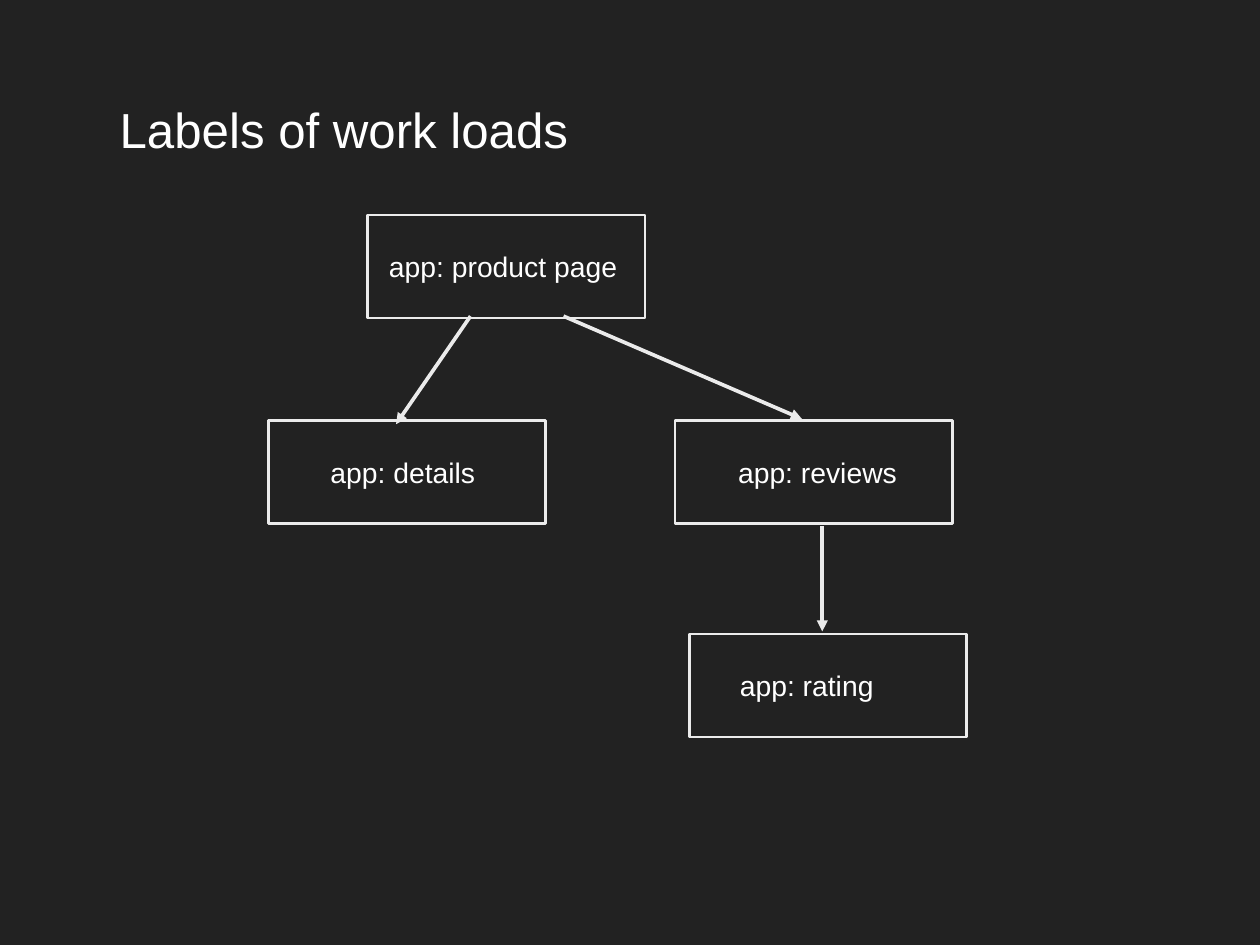
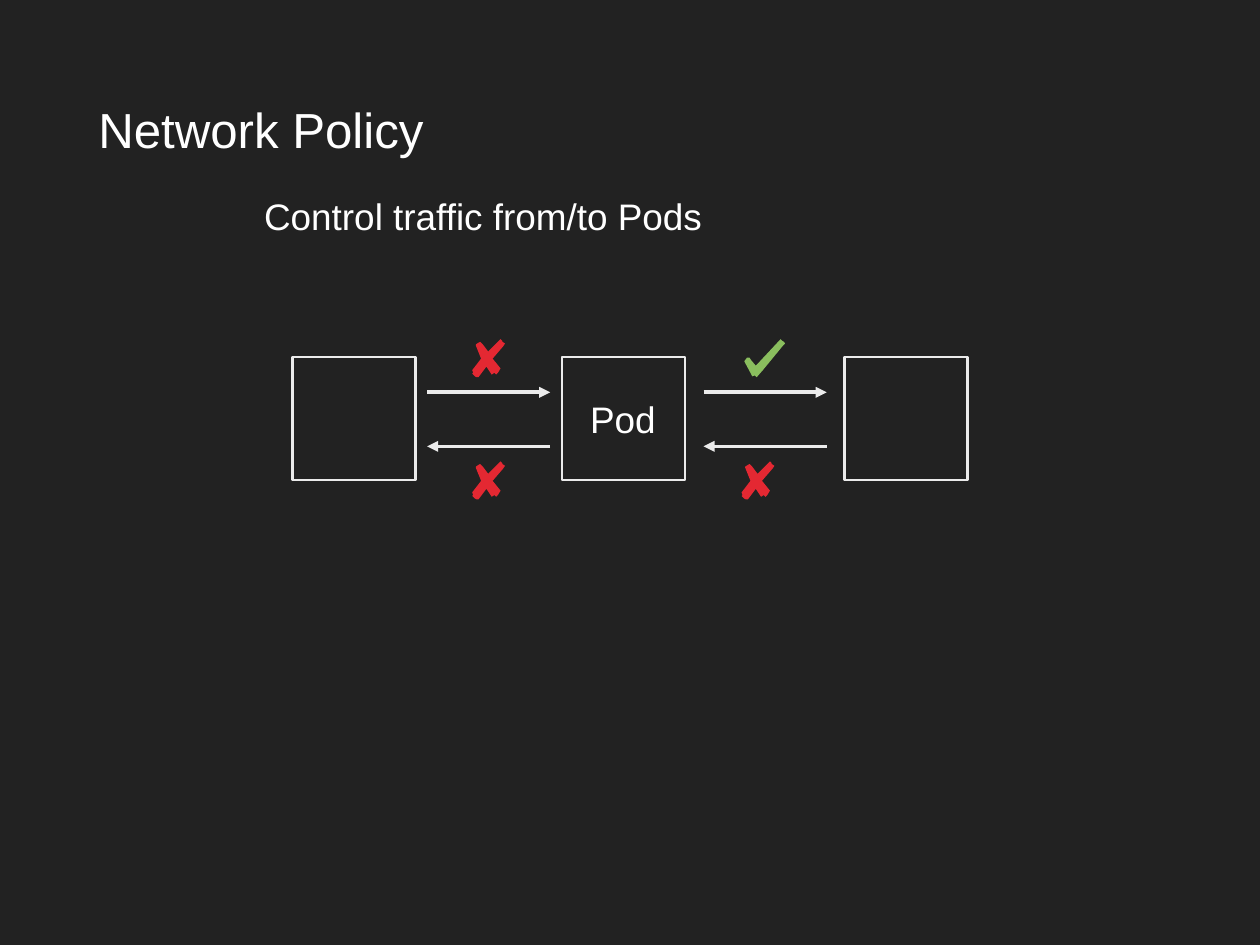
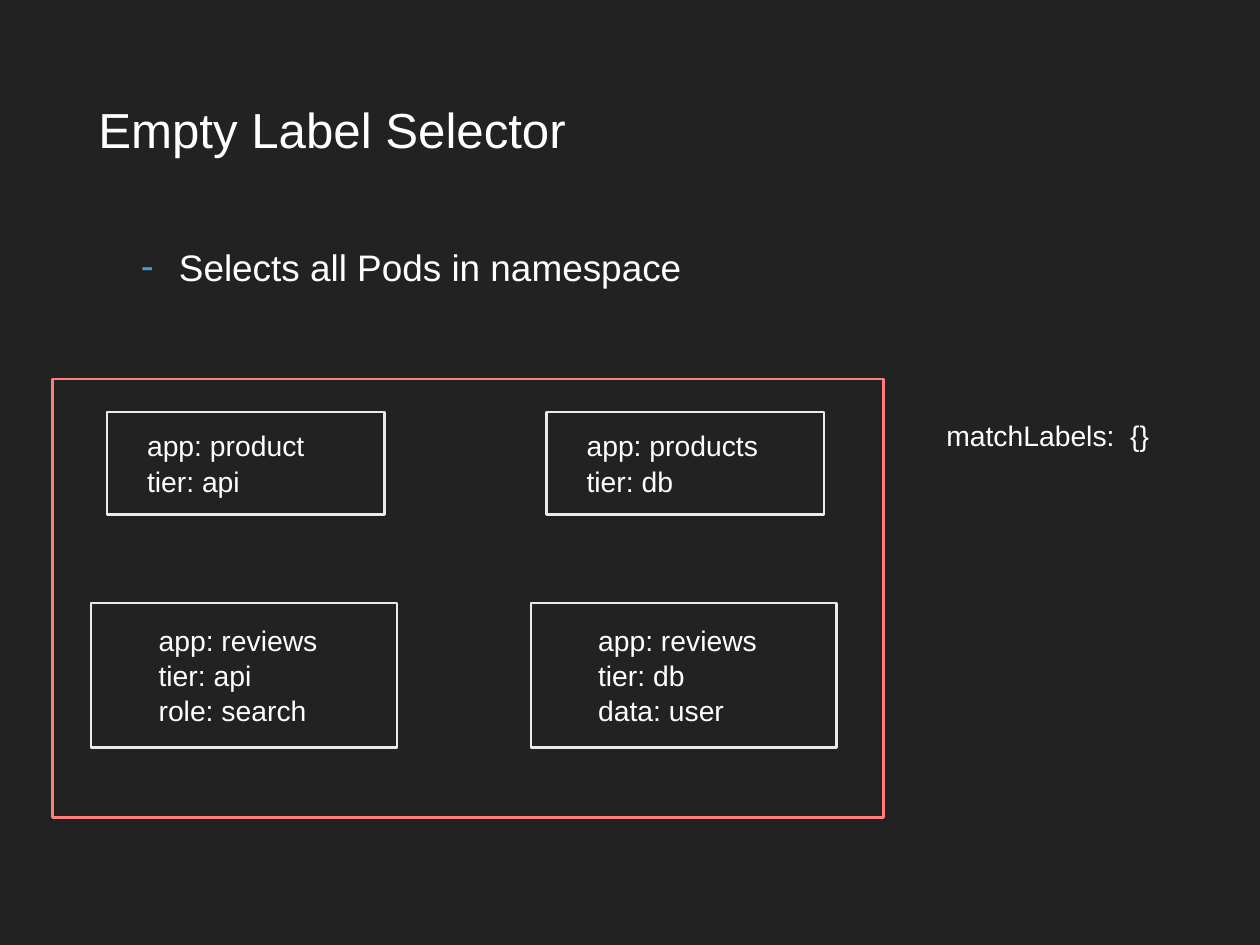
import pptx
import pptx.util
import pptx.dml.color
import pptx.enum.shapes
import pptx.enum.text
from lxml import etree
from pptx.util import Inches
from pptx.oxml.ns import qn

# Shared look
FONT = "Arial"
DARK, WHITE, PALE = "222222", "FFFFFF", "EBEBEB"
PINK, BLUE, GREEN, RED = "FF7E79", "34A5DA", "8ABE5E", "E42832"
BIG, MID, SMALL = 40, 30, 23
PAD = 0.06

# Outlines of the marks, in hundredths of an inch
CROSS = [(32, 0), (18, 14), (12, 6), (9, 3), (7, 4), (4, 6), (4, 7),
         (10, 22), (0, 35), (1, 38), (0, 39), (3, 42), (5, 43), (7, 43),
         (16, 31), (22, 40), (25, 38), (27, 40), (29, 38), (32, 33),
         (23, 22), (35, 8), (37, 5), (34, 3), (34, 2)]
CHECK = [(41, 0), (14, 29), (13, 30), (8, 24), (6, 21), (3, 21), (0, 25),
         (7, 38), (9, 42), (12, 41), (14, 43), (21, 35), (44, 7),
         (46, 5), (45, 3), (43, 2)]


def paint(color, code):
    color.rgb = pptx.dml.color.RGBColor.from_string(code)


def write(frame, text, size, left=PAD):
    """Fill a frame with left-aligned lines, centred in height."""
    frame.word_wrap = True
    frame.auto_size = pptx.enum.text.MSO_AUTO_SIZE.NONE
    frame.vertical_anchor = pptx.enum.text.MSO_ANCHOR.MIDDLE
    frame.margin_left = Inches(left)
    frame.margin_right = frame.margin_top = frame.margin_bottom = Inches(PAD)
    for n, line in enumerate(text.split("\n")):
        para = frame.add_paragraph() if n else frame.paragraphs[0]
        para.text = line
        para.alignment = pptx.enum.text.PP_ALIGN.LEFT
        para.space_before = pptx.util.Pt(1 if n else 0)
        para.font.name = FONT
        para.font.size = pptx.util.Pt(size)
        paint(para.font.color, WHITE)


def page(deck, title, left, width):
    """Add a slide with its title."""
    slide = deck.slides.add_slide(deck.slide_layouts[5])
    head = slide.shapes.title
    head.left, head.top = Inches(left), Inches(1.01)
    head.width, head.height = Inches(width), Inches(0.88)
    write(head.text_frame, title, BIG)
    return slide


def label(slide, text, left, top, width, height, size):
    area = slide.shapes.add_textbox(*map(Inches, (left, top, width, height)))
    write(area.text_frame, text, size)
    return area


def box(slide, left, top, width, height, text="", inset=PAD, size=SMALL, edge=PALE):
    """Add an outlined box, with text set in from its left edge."""
    kind = pptx.enum.shapes.MSO_SHAPE.RECTANGLE
    rect = slide.shapes.add_shape(kind, *map(Inches, (left, top, width, height)))
    rect.shadow.inherit = False
    rect.fill.background()
    paint(rect.line.color, edge)
    rect.line.width = pptx.util.Pt(2)
    if text:
        write(rect.text_frame, text, size, inset)


def arrow(slide, *ends):
    kind = pptx.enum.shapes.MSO_CONNECTOR.STRAIGHT
    link = slide.shapes.add_connector(kind, *map(Inches, ends))
    paint(link.line.color, PALE)
    link.line.width = pptx.util.Pt(3)
    props = link._element.spPr
    etree.SubElement(props.find(qn("a:ln")), qn("a:tailEnd"), type="triangle")
    etree.SubElement(props, qn("a:effectLst"))


def mark(slide, points, left, top, code):
    pen = slide.shapes.build_freeform(*points[0], scale=Inches(0.01))
    pen.add_line_segments(points[1:], close=True)
    sign = pen.convert_to_shape(Inches(left), Inches(top))
    sign.shadow.inherit = False
    sign.fill.solid()
    paint(sign.fill.fore_color, code)
    sign.line.fill.background()


def dash(para):
    """Give a paragraph a hanging blue dash."""
    props = para._p.get_or_add_pPr()
    indent = Inches(0.43)
    props.set("marL", str(indent))
    props.set("indent", str(-indent))
    color = etree.SubElement(props, qn("a:buClr"))
    etree.SubElement(color, qn("a:srgbClr"), val=BLUE)
    etree.SubElement(props, qn("a:buSzPct"), val="105000")
    etree.SubElement(props, qn("a:buFont"), typeface=FONT)
    etree.SubElement(props, qn("a:buChar"), char="-")


def loads(deck):
    slide = page(deck, "Labels of work loads", 1.29, 5.36)
    for left, top, inset, name in [(4.15, 2.43, 0.24, "product page"),
                                   (3.03, 4.75, 0.7, "details"),
                                   (7.62, 4.75, 0.71, "reviews"),
                                   (7.78, 7.16, 0.57, "rating")]:
        box(slide, left, top, 3.13, 1.16, "app: " + name, inset)
    arrow(slide, 6.36, 3.57, 9.05, 4.73)
    arrow(slide, 5.31, 3.57, 4.47, 4.79)
    arrow(slide, 9.28, 5.94, 9.28, 7.13)


def policy(deck):
    slide = page(deck, "Network Policy", 1.05, 3.93)
    label(slide, "Control traffic from/to Pods", 2.92, 2.1, 5.31, 0.68, MID)
    side = 1.39
    for left, name in [(3.3, ""), (6.34, "Pod"), (9.53, "")]:
        box(slide, left, 4.03, side, side, name, 0.32, MID)
    # Traffic out and back on either side of the pod
    for left in (4.82, 7.94):
        arrow(slide, left, 4.43, left + side, 4.43)
        arrow(slide, left + side, 5.04, left, 5.04)
    # Blocked and allowed
    for left, top in [(5.33, 3.83), (5.33, 5.21), (8.37, 5.21)]:
        mark(slide, CROSS, left, top, RED)
    mark(slide, CHECK, 8.4, 3.83, GREEN)


def selector(deck):
    slide = page(deck, "Empty Label Selector", 1.05, 5.54)
    point = label(slide, "Selects all Pods in namespace", 1.53, 2.67, 6.4, 0.68, MID)
    dash(point.text_frame.paragraphs[0])
    # Pods, one column for each tier
    pods = [("app: product\ntier: api", "app: reviews\ntier: api\nrole: search"),
            ("app: products\ntier: db", "app: reviews\ntier: db\ndata: user")]
    for n, (upper, lower) in enumerate(pods):
        shift = n * 4.96
        box(slide, 1.21 + shift, 4.65, 3.13, 1.16, upper, 0.45)
        box(slide, 1.03 + shift, 6.81, 3.45, 1.63, lower, 0.76)
    # Selection frame
    box(slide, 0.59, 4.28, 9.38, 4.95, edge=PINK)
    label(slide, "matchLabels:  {}", 10.62, 4.64, 2.6, 0.54, SMALL)


def main():
    deck = pptx.Presentation()
    deck.slide_width, deck.slide_height = Inches(14.22), Inches(10.67)
    back = deck.slide_master.background.fill
    back.solid()
    paint(back.fore_color, DARK)
    loads(deck)
    policy(deck)
    selector(deck)
    deck.save("out.pptx")


if __name__ == "__main__":
    main()
